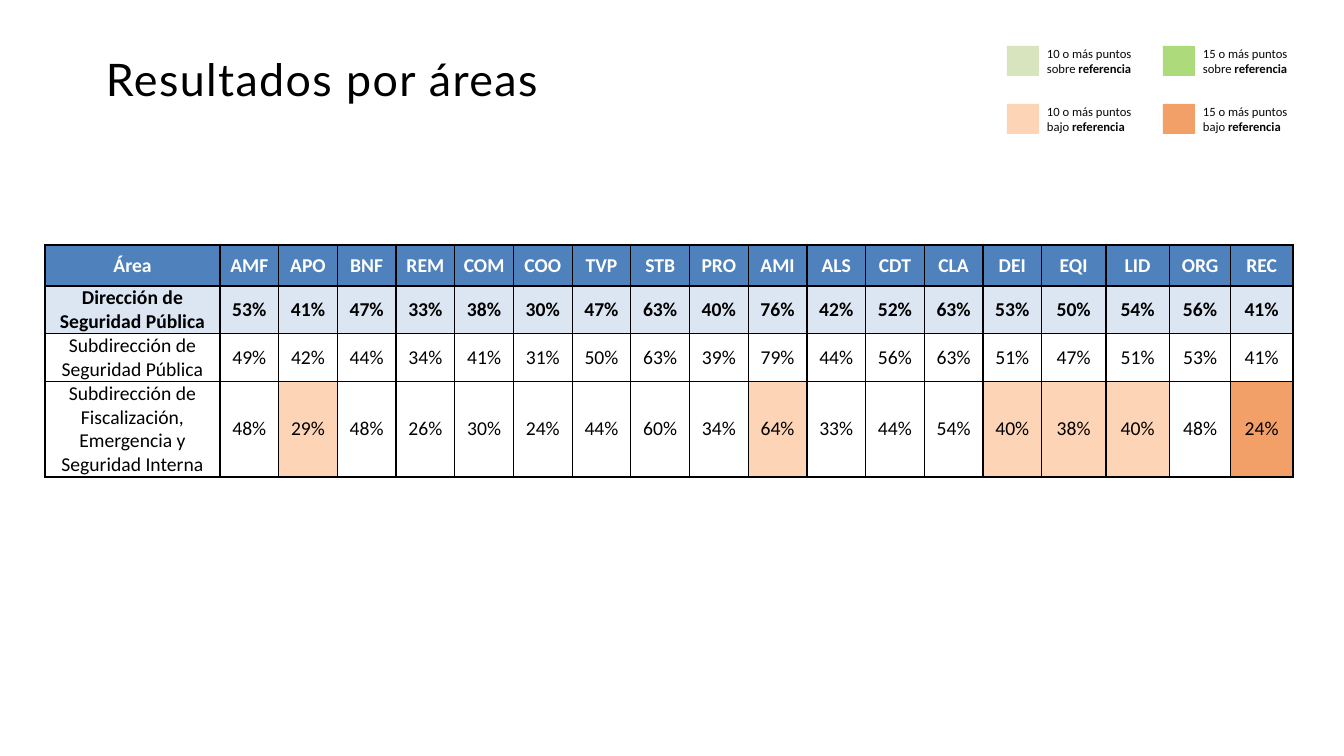
from lxml.etree import SubElement
from pptx import Presentation
from pptx.dml.color import RGBColor
from pptx.enum.shapes import MSO_SHAPE
from pptx.enum.text import MSO_ANCHOR, MSO_AUTO_SIZE, PP_ALIGN
from pptx.oxml.ns import qn
from pptx.util import Emu, Pt

SCALE = 914400 / 100.8
COLORS = {
    "black": "000000",
    "white": "FFFFFF",
    "legend_text": "07080B",
    "header": "4F81BD",
    "reference": "DCE6F2",
    "above_10": "D7E4BD",
    "above_15": "ADDB7B",
    "below_10": "FDD4B5",
    "below_15": "F2A068",
}
HEADER = "Área AMF APO BNF REM COM COO TVP STB PRO AMI ALS CDT CLA DEI EQI LID ORG REC".split()
REFERENCE = [53, 41, 47, 33, 38, 30, 47, 63, 40, 76, 42, 52, 63, 53, 50, 54, 56, 41]
AREAS = [
    ("Dirección de Seguridad Pública", REFERENCE),
    ("Subdirección de Seguridad Pública",
     [49, 42, 44, 34, 41, 31, 50, 63, 39, 79, 44, 56, 63, 51, 47, 51, 53, 41]),
    ("Subdirección de Fiscalización, Emergencia y Seguridad Interna",
     [48, 29, 48, 26, 30, 24, 44, 60, 34, 64, 33, 44, 54, 40, 38, 40, 48, 24]),
]
GROUP_EDGES = {0, 1, 4, 11, 14, 16, len(HEADER)}
LEGEND = [
    ("10 o más puntos sobre ", "above_10", 0, 0),
    ("15 o más puntos sobre ", "above_15", 1, 0),
    ("10 o más puntos bajo ", "below_10", 0, 1),
    ("15 o más puntos bajo ", "below_15", 1, 1),
]


def px(*lengths):
    return [Emu(round(length * SCALE)) for length in lengths]


def rgb(name):
    return RGBColor.from_string(COLORS[name])


prs = Presentation()
prs.slide_width, prs.slide_height = px(1344, 756)
slide = prs.slides.add_slide(prs.slide_layouts[5])

# Title
title = slide.shapes.title
title.left, title.top, title.width, title.height = px(106, 41, 646, 82)
heading = title.text_frame
heading.margin_left = heading.margin_right = heading.margin_top = heading.margin_bottom = 0
heading.vertical_anchor = MSO_ANCHOR.MIDDLE
heading.auto_size = MSO_AUTO_SIZE.NONE
heading.text = "Resultados por áreas"
paragraph = heading.paragraphs[0]
paragraph.alignment = PP_ALIGN.LEFT
paragraph.line_spacing = 0.9
paragraph.font.name = "Lato"
paragraph.font.size = Pt(32)
paragraph.font.color.rgb = rgb("black")
paragraph.runs[0]._r.get_or_add_rPr().set("spc", "100")

# Results by area
rows = [HEADER] + [[area] + [f"{value}%" for value in values] for area, values in AREAS]
results = slide.shapes.add_table(len(rows), len(HEADER), *px(45, 245, 1248, 170)).table
results.horz_banding = False
for column, width in zip(results.columns, px(175, *[822 / 14] * 14, 64, 64, 61, 62)):
    column.width = width
for row, height in zip(results.rows, px(41, 47, 41, 41)):
    row.height = height

for r, texts in enumerate(rows):
    for c, text in enumerate(texts):
        cell = results.cell(r, c)
        cell.margin_left = cell.margin_right = cell.margin_top = cell.margin_bottom = 0
        cell.vertical_anchor = MSO_ANCHOR.MIDDLE
        thick = {"lnL": c in GROUP_EDGES, "lnR": c + 1 in GROUP_EDGES,
                 "lnT": r == 0, "lnB": r == len(rows) - 1}
        for side, is_thick in thick.items():
            border = SubElement(cell._tc.get_or_add_tcPr(), qn(f"a:{side}"),
                                w=str(Pt(1.5 if is_thick else 1)))
            border_fill = SubElement(border, qn("a:solidFill"))
            SubElement(border_fill, qn("a:srgbClr"), val=COLORS["black"])

        gap = REFERENCE[c - 1] - AREAS[r - 1][1][c - 1] if r > 1 and c > 0 else 0
        if r < 2:
            fill = ("header", "reference")[r]
        elif gap >= 10:
            fill = "below_15" if gap >= 15 else "below_10"
        else:
            fill = None
        if fill:
            cell.fill.solid()
            cell.fill.fore_color.rgb = rgb(fill)
        else:
            cell.fill.background()

        cell.text = text
        paragraph = cell.text_frame.paragraphs[0]
        paragraph.alignment = PP_ALIGN.CENTER
        paragraph.font.name = "Calibri"
        paragraph.font.size = Pt(14)
        paragraph.font.bold = r < 2
        paragraph.font.color.rgb = rgb("white" if r == 0 else "black")

# Legend
for text, color, column, line in LEGEND:
    left, top = 1007 + 156 * column, 46 + 58 * line
    swatch = slide.shapes.add_shape(MSO_SHAPE.RECTANGLE, *px(left, top, 32, 30))
    swatch.shadow.inherit = False
    swatch.fill.solid()
    swatch.fill.fore_color.rgb = rgb(color)
    swatch.line.fill.background()

    meaning = slide.shapes.add_textbox(*px(left + 30, top - 5, 113, 40)).text_frame
    meaning.word_wrap = True
    meaning.auto_size = MSO_AUTO_SIZE.SHAPE_TO_FIT_TEXT
    paragraph = meaning.paragraphs[0]
    paragraph.font.name = "Calibri"
    paragraph.font.size = Pt(9)
    paragraph.font.color.rgb = rgb("legend_text")
    paragraph.add_run().text = text
    reference = paragraph.add_run()
    reference.text = "referencia"
    reference.font.bold = True

prs.save("out.pptx")
